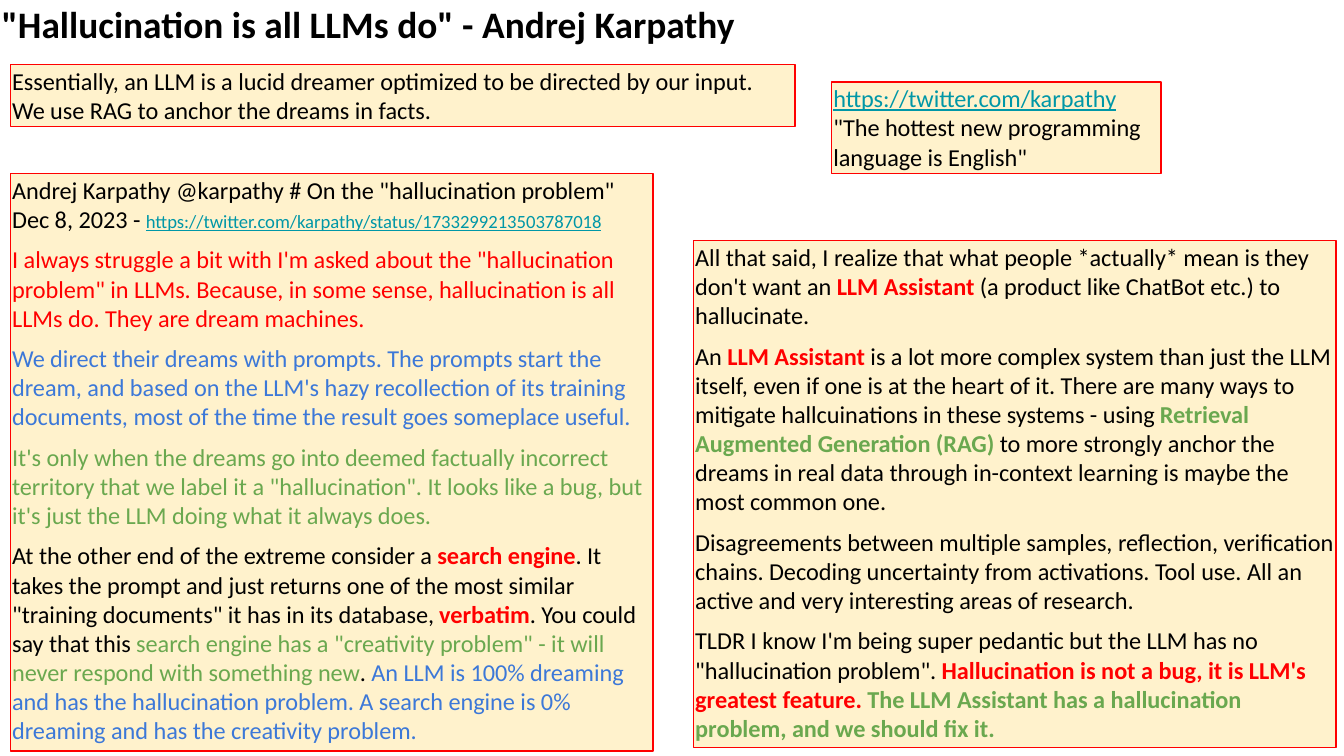
from pptx import Presentation
from pptx.dml.color import RGBColor
from pptx.enum.shapes import MSO_SHAPE as Shape
from pptx.enum.text import MSO_ANCHOR as Anchor, MSO_AUTO_SIZE as AutoSize, PP_ALIGN as Align
from pptx.util import Cm, Pt

BLACK, RED, BLUE, GREEN, TEAL, CREAM = "000000", "FF0000", "3C78D8", "6AA84F", "0097A7", "FFF2CC"


def color(hex_string):
    """Turn a hex string into a colour."""
    return RGBColor.from_string(hex_string)


def plain(text, hue=BLACK):
    """Describe a regular run."""
    return text, {"hue": hue}


def strong(text, hue=RED):
    """Describe a bold run."""
    return text, {"hue": hue, "bold": True}


def address(text, size=13):
    """Describe an underlined web address."""
    return text, {"hue": TEAL, "underline": True, "size": size}


class SlideBuilder:
    """Hold the style and the current slide."""

    font_name = "Calibri"
    body_size = 13
    title_size = 20
    inset = Cm(0.03)
    gap = Pt(6)

    def __init__(self, presentation):
        """Start a title-only slide."""
        self.slide = presentation.slides.add_slide(presentation.slide_layouts[5])

    def prepare(self, frame):
        """Give a text frame its margins, wrapping and anchor."""
        frame.margin_left = frame.margin_right = self.inset
        frame.margin_top = frame.margin_bottom = self.inset
        frame.word_wrap = True
        frame.auto_size = AutoSize.NONE
        frame.vertical_anchor = Anchor.TOP

    def style(self, font, hue=BLACK, size=body_size, bold=False, underline=False):
        """Set every property of a font."""
        font.name = self.font_name
        font.size = Pt(size)
        font.bold = bold
        font.underline = underline
        font.color.rgb = color(hue)

    def title(self, text, left, top, width, height):
        """Place and format the slide title."""
        shape = self.slide.shapes.title
        shape.left, shape.top, shape.width, shape.height = map(Cm, (left, top, width, height))
        self.prepare(shape.text_frame)
        shape.text_frame.text = text
        paragraph = shape.text_frame.paragraphs[0]
        paragraph.alignment = Align.LEFT
        self.style(paragraph.font, size=self.title_size, bold=True)

    def note(self, left, top, width, height, blocks):
        """Add a framed box of blocks, each a list of lines made of runs."""
        shape = self.slide.shapes.add_shape(Shape.RECTANGLE, *map(Cm, (left, top, width, height)))
        shape.shadow.inherit = False
        shape.fill.solid()
        shape.fill.fore_color.rgb = color(CREAM)
        shape.line.color.rgb = color(RED)
        shape.line.width = Pt(0.75)
        frame = shape.text_frame
        self.prepare(frame)
        paragraph = None
        for block in blocks:
            for position, runs in enumerate(block):
                first = paragraph is None
                paragraph = frame.paragraphs[0] if first else frame.add_paragraph()
                paragraph.alignment = Align.LEFT
                paragraph.space_before = Pt(0) if first or position else self.gap
                self.fill_line(paragraph, runs)

    def fill_line(self, paragraph, runs):
        """Write the runs, styling the paragraph when there is only one."""
        for text, look in runs:
            run = paragraph.add_run()
            run.text = text
            self.style(paragraph.font if len(runs) == 1 else run.font, **look)


def main():
    """Build and save the slide."""
    presentation = Presentation()
    presentation.slide_width, presentation.slide_height = Cm(25.4), Cm(14.29)
    builder = SlideBuilder(presentation)

    builder.title('"Hallucination is all LLMs do" - Andrej Karpathy', 0, 0, 14.22, 0.91)
    builder.note(0.2, 3.28, 12.14, 10.92, [
        [
            [plain('Andrej Karpathy @karpathy # On the "hallucination problem"')],
            [plain("Dec 8, 2023 - "),
             address("https://twitter.com/karpathy/status/1733299213503787018", 10)],
        ],
        [[plain('I always struggle a bit with I\'m asked about the "hallucination problem" in LLMs. '
                "Because, in some sense, hallucination is all LLMs do. They are dream machines.", RED)]],
        [[plain("We direct their dreams with prompts. The prompts start the dream, and based on the "
                "LLM's hazy recollection of its training documents, most of the time the result goes "
                "someplace useful.", BLUE)]],
        [[plain("It's only when the dreams go into deemed factually incorrect territory that we label "
                'it a "hallucination". It looks like a bug, but it\'s just the LLM doing what it '
                "always does.", GREEN)]],
        [[
            plain("At the other end of the extreme consider a "),
            strong("search engine"),
            plain(". It takes the prompt and just returns one of the most similar "
                  '"training documents" it has in its database, '),
            strong("verbatim"),
            plain(". You could say that this "),
            plain('search engine has a "creativity problem" - it will never respond with '
                  "something new", GREEN),
            plain(". "),
            plain("An LLM is 100% dreaming and has the hallucination problem. A search engine is "
                  "0% dreaming and has the creativity problem.", BLUE),
        ]],
    ])
    builder.note(13.11, 4.55, 12.14, 9.58, [
        [[
            plain("All that said, I realize that what people *actually* mean is they don't want an "),
            strong("LLM Assistant"),
            plain(" (a product like ChatBot etc.) to hallucinate."),
        ]],
        [[
            plain("An "),
            strong("LLM Assistant"),
            plain(" is a lot more complex system than just the LLM itself, even if one is at the "
                  "heart of it. There are many ways to mitigate hallcuinations in these systems - using "),
            strong("Retrieval Augmented Generation (RAG)", GREEN),
            plain(" to more strongly anchor the dreams in real data through in-context learning is "
                  "maybe the most common one."),
        ]],
        [[plain("Disagreements between multiple samples, reflection, verification chains. Decoding "
                "uncertainty from activations. Tool use. All an active and very interesting areas "
                "of research.")]],
        [[
            plain("TLDR I know I'm being super pedantic but the LLM has no "
                  '"hallucination problem". '),
            strong("Hallucination is not a bug, it is LLM's greatest feature. "),
            strong("The LLM Assistant has a hallucination problem, and we should fix it.", GREEN),
        ]],
    ])
    builder.note(15.72, 1.55, 6.22, 1.73, [[
        [address("https://twitter.com/karpathy")],
        [plain('"The hottest new programming language is English"')],
    ]])
    builder.note(0.2, 1.22, 14.83, 1.17, [[
        [plain("Essentially, an LLM is a lucid dreamer optimized to be directed by our input.")],
        [plain("We use RAG to anchor the dreams in facts.")],
    ]])
    presentation.save("out.pptx")


if __name__ == "__main__":
    main()
